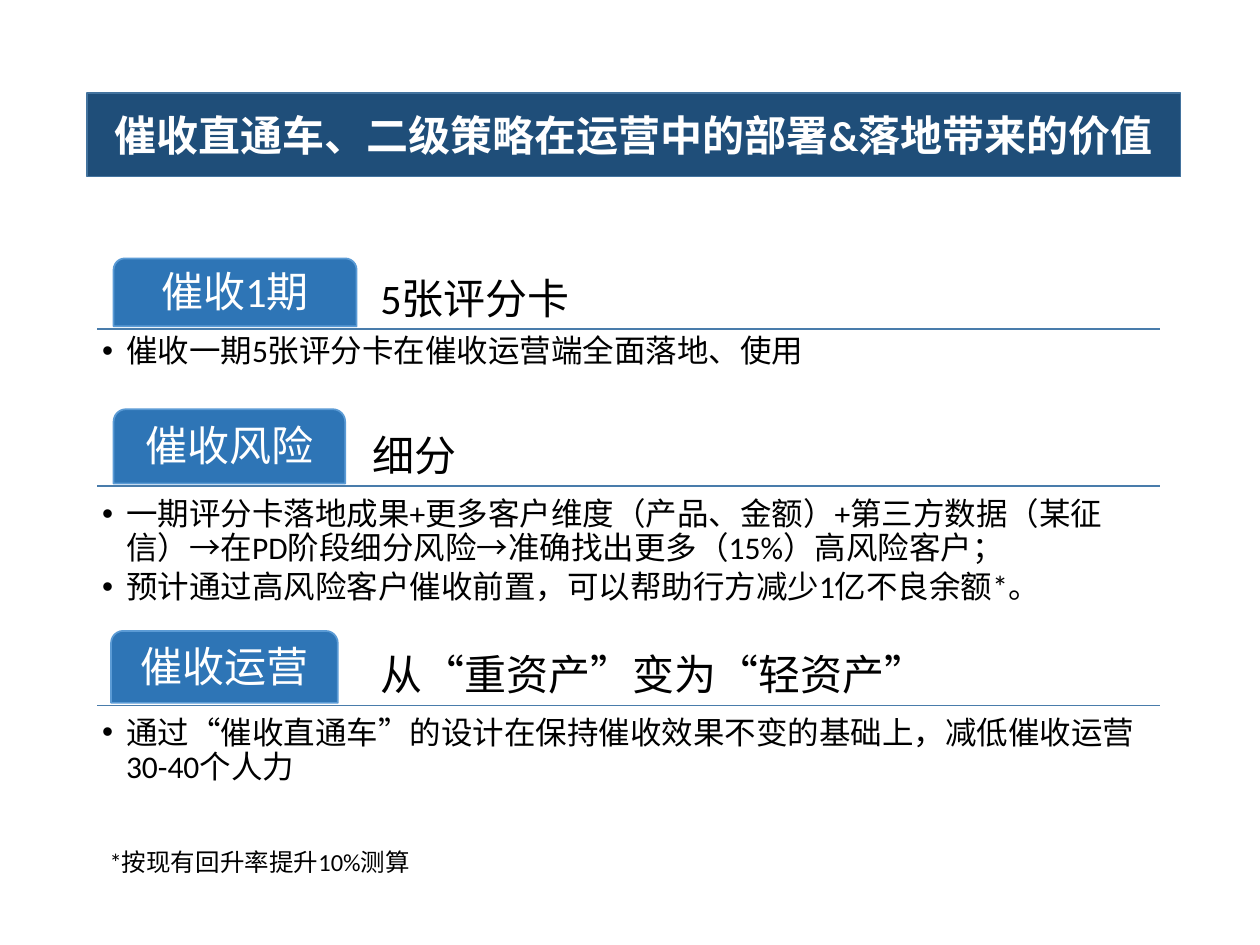
from dataclasses import dataclass

from lxml.etree import SubElement
from pptx import Presentation
from pptx.dml.color import RGBColor
from pptx.enum.shapes import MSO_CONNECTOR as Connector, MSO_SHAPE as Shape
from pptx.enum.text import MSO_ANCHOR as Anchor, MSO_AUTO_SIZE as AutoSize, PP_ALIGN as Align
from pptx.oxml.ns import qn
from pptx.util import Cm, Pt

# Content
TITLE = "催收直通车、二级策略在运营中的部署&落地带来的价值"
FOOTNOTE = "*按现有回升率提升10%测算"
# Lengths in cm: rule is the height of the line under a section's tab
SECTIONS = [
    dict(tab="催收1期", heading="5张评分卡", rule=6.63, tab_box=(2.29, 4.9, 1.37),
         heading_left=7.54, list_gap=0.03, list_height=3.15,
         points=["催收一期5张评分卡在催收运营端全面落地、使用"]),
    dict(tab="催收风险", heading="细分", rule=9.8, tab_box=(2.29, 4.67, 1.5),
         heading_left=7.39, list_gap=0.15, list_height=3.15,
         points=["一期评分卡落地成果+更多客户维度（产品、金额）+第三方数据（某征信）"
                 "→在PD阶段细分风险→准确找出更多（15%）高风险客户；",
                 "预计通过高风险客户催收前置，可以帮助行方减少1亿不良余额*。"]),
    dict(tab="催收运营", heading="从“重资产”变为“轻资产”", rule=14.22, tab_box=(2.24, 4.57, 1.45),
         heading_left=7.54, list_gap=0.13, list_height=2.03,
         points=["通过“催收直通车”的设计在保持催收效果不变的基础上，减低催收运营30-40个人力"]),
]
LEFT, WIDTH = 1.96, 21.43
HEADING_WIDTH, HEADING_HEIGHT = 15.85, 1.57
TAB_GAP = 0.05
INDENT = 0.48


@dataclass(frozen=True)
class Theme:
    font: str = "Calibri"
    title_fill: str = "1F4E79"
    title_line: str = "43739E"
    tab_fill: str = "2E75B6"
    tab_line: str = "5B9BD5"
    rule: str = "497CAB"
    light: str = "FFFFFF"
    dark: str = "000000"
    heading_size: int = 24
    list_size: int = 18
    note_size: int = 14


theme = Theme()


def color(value):
    return RGBColor.from_string(value)


def place(shape, left, top, width, height):
    shape.left, shape.top, shape.width, shape.height = map(Cm, (left, top, width, height))


def paint(shape, fill, line):
    shape.fill.solid()
    shape.fill.fore_color.rgb = color(fill)
    shape.line.color.rgb = color(line)
    shape.line.width = Pt(1)


def write(shape, texts, size, ink, align=Align.LEFT, anchor=Anchor.TOP,
          margins=(0.25, 0.13), spacing=1.0, after=0, bold=False):
    frame = shape.text_frame
    frame.word_wrap = True
    frame.auto_size = AutoSize.NONE
    frame.vertical_anchor = anchor
    frame.margin_left = frame.margin_right = Cm(margins[0])
    frame.margin_top = frame.margin_bottom = Cm(margins[1])
    frame.text = "\n".join(texts)
    for paragraph in frame.paragraphs:
        paragraph.alignment = align
        paragraph.line_spacing = spacing
        paragraph.space_before = Pt(0)
        paragraph.space_after = Pt(after)
        font = paragraph.font
        font.name, font.size, font.bold = theme.font, Pt(size), bold
        font.color.rgb = color(ink)


def add_bullets(shape):
    for paragraph in shape.text_frame.paragraphs:
        properties = paragraph._p.get_or_add_pPr()
        properties.set("marL", str(Cm(INDENT)))
        properties.set("indent", str(-Cm(INDENT)))
        bullet = properties.makeelement(qn("a:buChar"), {"char": "•"})
        properties.insert_element_before(bullet, "a:tabLst", "a:defRPr", "a:extLst")


presentation = Presentation()
presentation.slide_width, presentation.slide_height = Cm(25.4), Cm(19.05)
slide = presentation.slides.add_slide(presentation.slide_layouts[4])
shapes = slide.shapes
title, *bodies = slide.placeholders

# Title banner
place(title, 1.75, 1.88, 22.05, 1.68)
geometry = SubElement(title._element.spPr, qn("a:prstGeom"), prst="roundRect")
SubElement(geometry, qn("a:avLst"))
paint(title, theme.title_fill, theme.title_line)
write(title, [TITLE], theme.heading_size, theme.light, Align.CENTER, Anchor.MIDDLE, bold=True)

# Sections: rule, tab, heading and list
for section, body in zip(SECTIONS, bodies):
    rule_top = section["rule"]
    rule = shapes.add_connector(Connector.STRAIGHT, Cm(LEFT), Cm(rule_top),
                                Cm(LEFT + WIDTH), Cm(rule_top))
    rule.line.color.rgb = color(theme.rule)
    rule.line.width = Pt(1)
    SubElement(rule._element.spPr, qn("a:effectLst"))

    tab_left, tab_width, tab_height = section["tab_box"]
    tab = shapes.add_shape(Shape.ROUND_2_SAME_RECTANGLE, 0, 0, 0, 0)
    place(tab, tab_left, rule_top - TAB_GAP - tab_height, tab_width, tab_height)
    tab.shadow.inherit = False
    paint(tab, theme.tab_fill, theme.tab_line)
    write(tab, [section["tab"]], theme.heading_size, theme.light, Align.CENTER,
          Anchor.MIDDLE, margins=(0.13, 0.13), spacing=0.9)

    heading = shapes.add_textbox(0, 0, 0, 0)
    place(heading, section["heading_left"], rule_top - HEADING_HEIGHT + 0.02,
          HEADING_WIDTH, HEADING_HEIGHT)
    write(heading, [section["heading"]], theme.heading_size, theme.dark,
          anchor=Anchor.BOTTOM, margins=(0.13, 0.13), spacing=0.9)

    place(body, LEFT, rule_top + section["list_gap"], WIDTH, section["list_height"])
    write(body, section["points"], theme.list_size, theme.dark,
          margins=(0.1, 0.1), spacing=0.9, after=2.7)
    add_bullets(body)

# Unused placeholders
for body in bodies[len(SECTIONS):]:
    body._element.getparent().remove(body._element)

# Footnote
footnote = shapes.add_textbox(0, 0, 0, 0)
place(footnote, LEFT, 16.94, 9.47, 0.86)
write(footnote, [FOOTNOTE], theme.note_size, theme.dark)

presentation.save("out.pptx")
